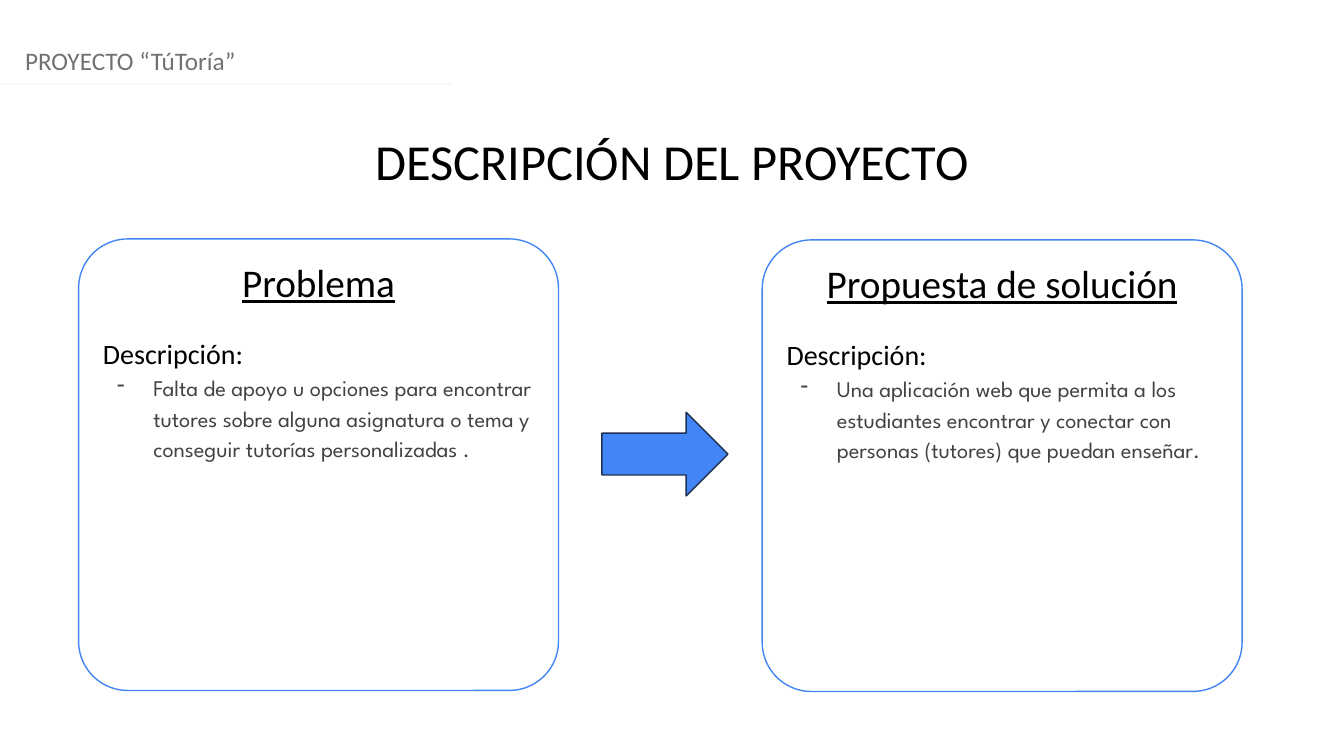
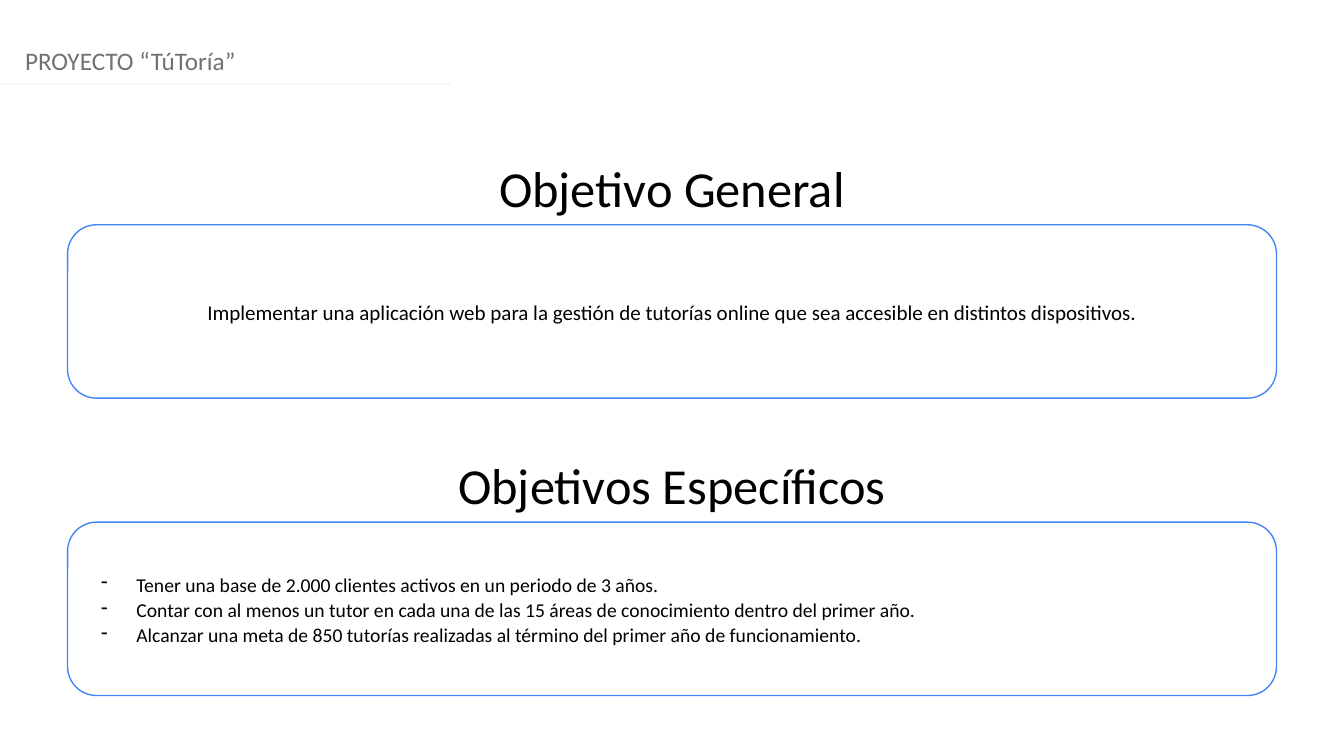
import lxml.etree
import pptx
import pptx.dml.color
import pptx.enum.shapes
import pptx.enum.text
import pptx.oxml.ns
import pptx.util

PX = 9144
SLIDE_WIDTH, SLIDE_HEIGHT = 1333, 750
BLANK_LAYOUT = 6

BLACK = pptx.dml.color.RGBColor(0x00, 0x00, 0x00)
WHITE = pptx.dml.color.RGBColor(0xFF, 0xFF, 0xFF)
BLUE = pptx.dml.color.RGBColor(0x42, 0x85, 0xF4)
NAVY = pptx.dml.color.RGBColor(0x1C, 0x30, 0x52)
HEADER_GRAY = pptx.dml.color.RGBColor(0x75, 0x70, 0x70)
BODY_GRAY = pptx.dml.color.RGBColor(0x42, 0x42, 0x42)
RULE_GRAY = pptx.dml.color.RGBColor(0xF5, 0xF7, 0xFC)

BASE_FONT = "Calibri"
BODY_FONT = "League Spartan"
SHAPES = pptx.enum.shapes.MSO_SHAPE
ALIGN = pptx.enum.text.PP_ALIGN
ANCHOR = pptx.enum.text.MSO_ANCHOR

HEADER = "PROYECTO “TúToría”"
PROBLEM = (
    "Problema",
    "Falta de apoyo u opciones para encontrar tutores sobre alguna asignatura "
    "o tema y conseguir tutorías personalizadas .",
)
SOLUTION = (
    "Propuesta de solución",
    "Una aplicación web que permita a los estudiantes encontrar y conectar "
    "con personas (tutores) que puedan enseñar.",
)
GENERAL_GOAL = (
    "Implementar una aplicación web para la gestión de tutorías online "
    "que sea accesible en distintos dispositivos."
)
SPECIFIC_GOALS = [
    "Tener una base de 2.000 clientes activos en un periodo de 3 años.",
    "Contar con al menos un tutor en cada una de las 15 áreas de conocimiento "
    "dentro del primer año.",
    "Alcanzar una meta de 850 tutorías realizadas al término del primer año "
    "de funcionamiento.",
]


def emu(*lengths):
    """Turn px lengths into EMU."""
    return [pptx.util.Emu(length * PX) for length in lengths]


def style(paragraph, text, size, color=BLACK, font=BASE_FONT, align=ALIGN.LEFT,
          underline=False, spacing=None, after=None):
    """Fill a paragraph and format its runs."""
    paragraph.text = text
    paragraph.alignment = align
    if spacing:
        paragraph.line_spacing = spacing
    if after:
        paragraph.space_after = pptx.util.Pt(after)
    for run in paragraph.runs:
        run.font.size = pptx.util.Pt(size)
        run.font.name = font
        run.font.color.rgb = color
        run.font.underline = underline


def add_dash(paragraph, color, hanging):
    """Give a paragraph a dash bullet with a hanging indent in px."""
    qn = pptx.oxml.ns.qn
    properties = paragraph._p.get_or_add_pPr()
    properties.set("marL", str(50 * PX))
    properties.set("indent", str(-hanging * PX))
    bullet_color = lxml.etree.SubElement(properties, qn("a:buClr"))
    lxml.etree.SubElement(bullet_color, qn("a:srgbClr")).set("val", str(color))
    lxml.etree.SubElement(properties, qn("a:buChar")).set("char", "-")


def add_label(slide, box, text, size, color, align):
    """Place one line of free text in a box."""
    frame = slide.shapes.add_textbox(*emu(*box)).text_frame
    frame.word_wrap = True
    style(frame.paragraphs[0], text, size, color, align=align)


def add_title(slide, top, text):
    """Place a centred title across the slide."""
    add_label(slide, (0, top, SLIDE_WIDTH, 71), text, 36, BLACK, ALIGN.CENTER)


def add_figure(slide, kind, box, fill, outline):
    """Place a flat preset shape with a thin outline."""
    figure = slide.shapes.add_shape(kind, *emu(*box))
    figure.shadow.inherit = False
    figure.fill.solid()
    figure.fill.fore_color.rgb = fill
    figure.line.color.rgb = outline
    figure.line.width = pptx.util.Pt(1)
    return figure


def add_panel(slide, box, rounding, anchor):
    """Place a rounded white panel and return its text frame."""
    panel = add_figure(slide, SHAPES.ROUNDED_RECTANGLE, box, WHITE, BLUE)
    panel.adjustments[0] = rounding
    frame = panel.text_frame
    frame.word_wrap = True
    frame.vertical_anchor = anchor
    return frame


def add_card(slide, box, heading, description):
    """Place a card with a heading and a described point."""
    frame = add_panel(slide, box, 0.109, ANCHOR.TOP)
    style(frame.paragraphs[0], heading, 28, align=ALIGN.CENTER,
          underline=True, after=22)
    style(frame.add_paragraph(), "Descripción:", 20, align=ALIGN.JUSTIFY)
    point = frame.add_paragraph()
    style(point, description, 16, BODY_GRAY, BODY_FONT, spacing=1.15)
    add_dash(point, BODY_GRAY, 36)


def add_goal_section(slide, top, title):
    """Place a titled goal panel and return its text frame."""
    add_title(slide, top, title)
    return add_panel(slide, (67, top + 72, 1199, 172), 0.167, ANCHOR.MIDDLE)


def add_base_slide(deck):
    """Add a blank slide with the project header and its rule."""
    slide = deck.slides.add_slide(deck.slide_layouts[BLANK_LAYOUT])
    add_label(slide, (15, 40, SLIDE_WIDTH - 15, 40), HEADER, 18, HEADER_GRAY,
              ALIGN.LEFT)
    rule = slide.shapes.add_connector(
        pptx.enum.shapes.MSO_CONNECTOR.STRAIGHT, *emu(0, 83, 447, 83))
    rule.line.color.rgb = RULE_GRAY
    rule.line.width = pptx.util.Pt(1.25)
    lxml.etree.SubElement(rule._element.spPr, pptx.oxml.ns.qn("a:effectLst"))
    return slide


def build_description(deck):
    """Build the slide that leads from problem to solution."""
    slide = add_base_slide(deck)
    add_title(slide, 124, "DESCRIPCIÓN DEL PROYECTO")
    add_card(slide, (78, 237, 476, 448), *PROBLEM)
    add_card(slide, (756, 238, 476, 448), *SOLUTION)
    add_figure(slide, SHAPES.RIGHT_ARROW, (597, 409, 125, 83), BLUE, NAVY)


def build_goals(deck):
    """Build the slide of general and specific goals."""
    slide = add_base_slide(deck)
    general = add_goal_section(slide, 151, "Objetivo General")
    style(general.paragraphs[0], GENERAL_GOAL, 15, align=ALIGN.CENTER,
          spacing=1.08, after=8)
    specific = add_goal_section(slide, 446, "Objetivos Específicos")
    for index, goal in enumerate(SPECIFIC_GOALS):
        point = specific.add_paragraph() if index else specific.paragraphs[0]
        style(point, goal, 14, align=ALIGN.JUSTIFY, spacing=1.08)
        add_dash(point, BLACK, 35)


def main():
    """Build and save the deck."""
    deck = pptx.Presentation()
    deck.slide_width, deck.slide_height = emu(SLIDE_WIDTH, SLIDE_HEIGHT)
    build_description(deck)
    build_goals(deck)
    deck.save("out.pptx")


if __name__ == "__main__":
    main()
